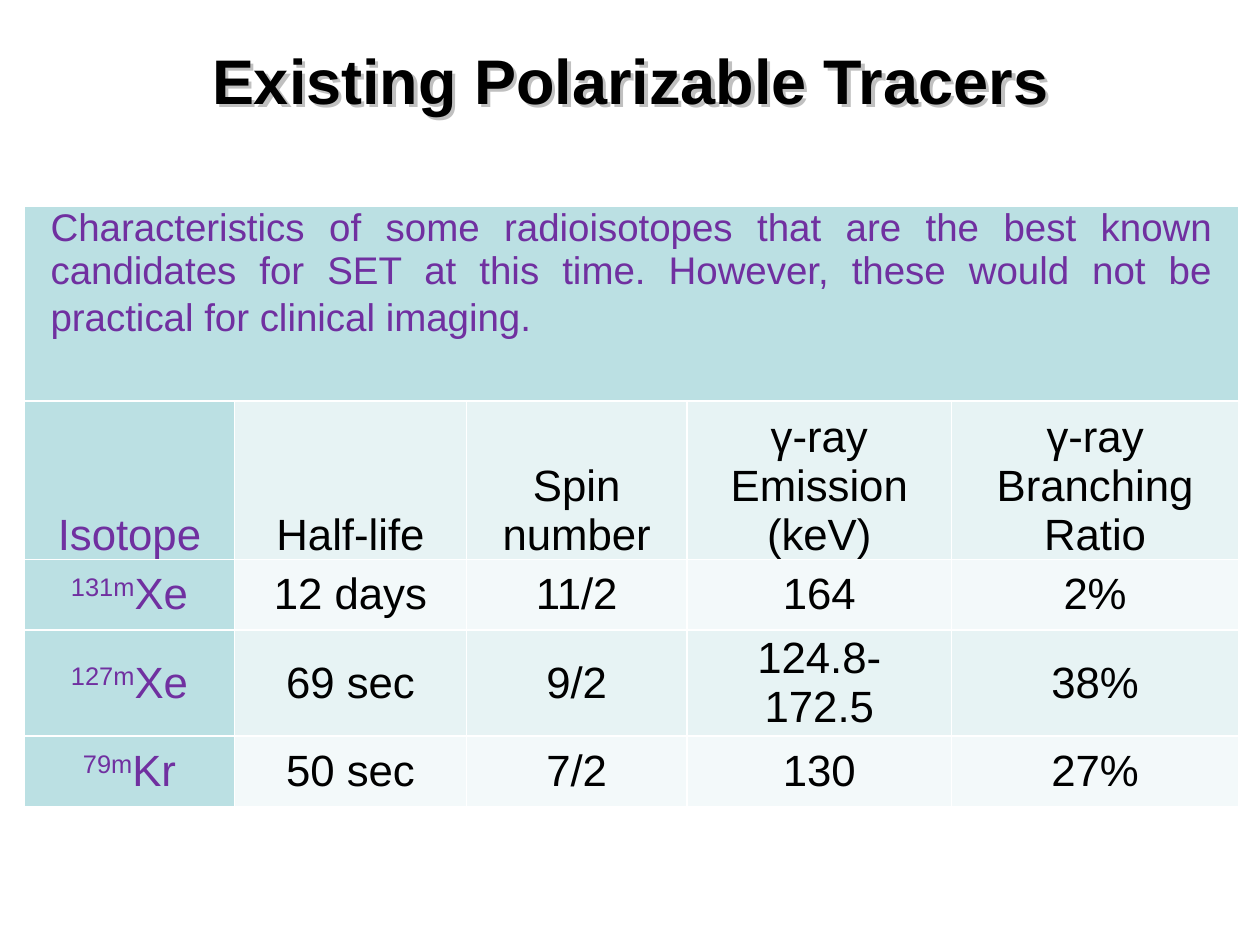
from lxml import etree
from pptx import Presentation
from pptx.dml.color import RGBColor
from pptx.enum import shapes, text
from pptx.oxml import parse_xml
from pptx.oxml.ns import nsdecls, qn
from pptx.util import Cm, Pt

TITLE = "Existing Polarizable Tracers"
CAPTION = ("Characteristics of some radioisotopes that are the best known candidates "
           "for SET at this time. However, these would not be practical for clinical imaging.")
HEADERS = ["Isotope", "Half-life", "Spin number", "γ-ray Emission (keV)", "γ-ray Branching Ratio"]
ISOTOPES = [
    (("131m", "Xe"), "12 days", "11/2", "164", "2%"),
    (("127m", "Xe"), "69 sec", "9/2", "124.8-172.5", "38%"),
    (("79m", "Kr"), "50 sec", "7/2", "130", "27%"),
]
COLS = [4.24, 4.67, 4.45, 5.33, 5.79]
ROWS = [3.92, 3.2, 1.42, 2.14, 1.42]
CORNER_LINES = [(0.43, 18.42, 1.91, 18.42), (0.43, 18.42, 0.43, 17.78), (0.43, 17.78, 1.07, 17.78)]
COLORS = {"text": "000000", "accent": "7030A0", "line": "FFFFFF", "shadow": "C0C0C0",
          "head": "BBE0E3", "odd": "E7F3F4", "even": "F3F9FA"}
FONT = "Arial"


def add_run(p, content, size, color, bold=False):
    r = p.add_run()
    r.text = content
    r.font.name = FONT
    r.font.size = Pt(size)
    r.font.bold = bold
    r.font.color.rgb = RGBColor.from_string(COLORS[color])
    return r


def style_cell(cell, fill, anchor):
    cell.margin_left = cell.margin_right = Cm(0.53)
    cell.margin_top = cell.margin_bottom = 0
    cell.vertical_anchor = anchor
    tcPr = cell._tc.get_or_add_tcPr()
    for side in "LRTB":
        ln = etree.SubElement(tcPr, qn("a:ln" + side), w=str(Pt(1)))
        solid = etree.SubElement(ln, qn("a:solidFill"))
        etree.SubElement(solid, qn("a:srgbClr"), val=COLORS["line"])
    cell.fill.solid()
    cell.fill.fore_color.rgb = RGBColor.from_string(COLORS[fill])


def add_corner_lines(s):
    for ends in CORNER_LINES:
        line = s.shapes.add_connector(shapes.MSO_CONNECTOR.STRAIGHT, *map(Cm, ends))
        line.line.color.rgb = RGBColor.from_string(COLORS["line"])
        line.line.width = Pt(0.75)
        etree.SubElement(line._element.spPr, qn("a:effectLst"))


def add_title(s):
    box = s.shapes.add_textbox(Cm(0.43), Cm(0.43), Cm(24.56), Cm(2.32))
    box._element.spPr.append(parse_xml(
        f'<a:effectLst {nsdecls("a")}><a:outerShdw dist="35921" dir="2700000">'
        f'<a:srgbClr val="{COLORS["shadow"]}"/></a:outerShdw></a:effectLst>'))
    tf = box.text_frame
    tf.word_wrap = True
    tf.vertical_anchor = text.MSO_ANCHOR.MIDDLE
    p = tf.paragraphs[0]
    p.alignment = text.PP_ALIGN.CENTER
    add_run(p, TITLE, 36, "text", True)


def add_isotope_table(s):
    table = s.shapes.add_table(len(ROWS), len(COLS), Cm(0.49), Cm(4.16),
                               Cm(sum(COLS)), Cm(sum(ROWS))).table
    table.first_row = table.horz_banding = False
    for column, width in zip(table.columns, COLS):
        column.width = Cm(width)
    for row, height in zip(table.rows, ROWS):
        row.height = Cm(height)

    for cell in table.rows[0].cells:
        style_cell(cell, "head", text.MSO_ANCHOR.TOP)
    caption = table.cell(0, 0)
    caption.merge(table.cell(0, len(COLS) - 1))
    p = caption.text_frame.paragraphs[0]
    p.alignment = text.PP_ALIGN.JUSTIFY
    add_run(p, CAPTION, 22, "accent")
    add_run(p, " ", 25, "accent")

    for i, row in enumerate([HEADERS, *ISOTOPES], 1):
        anchor = text.MSO_ANCHOR.BOTTOM if i == 1 else text.MSO_ANCHOR.MIDDLE
        for j, value in enumerate(row):
            cell = table.cell(i, j)
            style_cell(cell, "head" if j == 0 else "odd" if i % 2 else "even", anchor)
            p = cell.text_frame.paragraphs[0]
            p.alignment = text.PP_ALIGN.CENTER
            color = "text" if j else "accent"
            if isinstance(value, tuple):
                mass, value = value
                r = add_run(p, mass, 25, color)
                r.font._element.set("baseline", "30000")
            add_run(p, value, 25, color)


def main():
    prs = Presentation()
    prs.slide_width, prs.slide_height = Cm(25.4), Cm(19.05)
    s = prs.slides.add_slide(prs.slide_layouts[6])
    add_corner_lines(s)
    add_title(s)
    add_isotope_table(s)
    prs.save("out.pptx")


if __name__ == "__main__":
    main()
